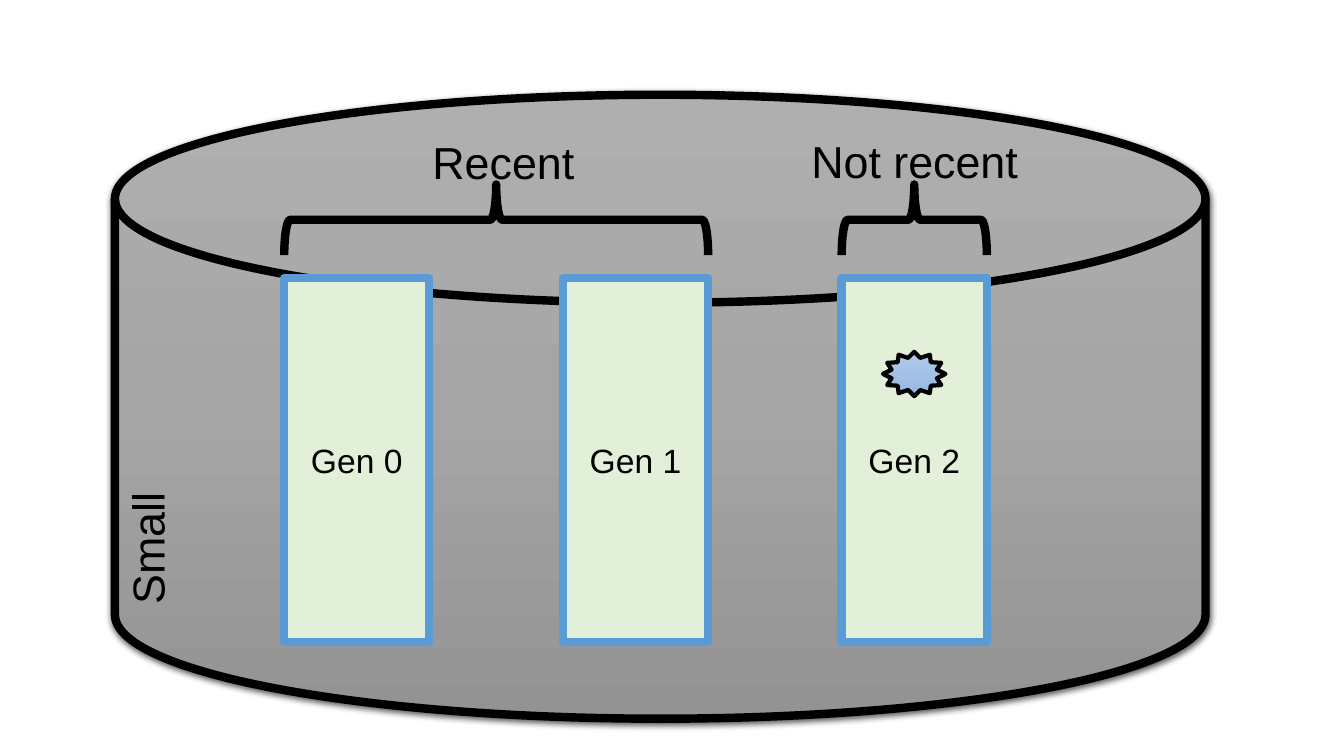
from copy import deepcopy

from lxml import etree
from pptx import Presentation
from pptx.dml.color import RGBColor
from pptx.enum import shapes as kinds, text as txt
from pptx.oxml import ns
from pptx.util import Pt

BLACK = RGBColor(0x00, 0x00, 0x00)
GEN_FILL = RGBColor(0xE2, 0xF0, 0xD9)
GEN_LINE = RGBColor(0x5B, 0x9B, 0xD5)
HEAP_SHADES = [RGBColor(0xAF, 0xAF, 0xAF), RGBColor(0xA5, 0xA5, 0xA5), RGBColor(0x93, 0x93, 0x93)]
OBJECT_SHADES = [RGBColor(0xB1, 0xCB, 0xE9), RGBColor(0xA3, 0xC1, 0xE5), RGBColor(0x93, 0xB9, 0xE4)]

HEAP = "Small"
HEAP_BOX = (82.1, 67.7, 779, 445.7)
GENERATIONS = ["Gen 0", "Gen 1", "Gen 2"]
AGES = [
    {"label": "Recent", "first": 0, "last": 1, "box": (271.4, 92.9, 176.4, 46.1),
     "align": txt.PP_ALIGN.CENTER},
    {"label": "Not recent", "first": 2, "last": 2, "box": (572.4, 92.2, 172.1, 46.1),
     "align": txt.PP_ALIGN.LEFT},
]
OBJECT_GENERATION = 2

GEN_LEFT, GEN_TOP, GEN_WIDTH, GEN_HEIGHT, GEN_STEP = 203, 198.7, 103.7, 259.9, 199.1
BRACE_MIDDLE, BRACE_DEPTH = 157, 50.4
OBJECT_TOP, OBJECT_WIDTH, OBJECT_HEIGHT = 251.3, 44.6, 31.7


def add_outlined(slide, preset, box, line_color=BLACK, line_width=6):
    shape = slide.shapes.add_shape(preset, *map(Pt, box))
    shape.shadow.inherit = False
    shape.line.color.rgb = line_color
    shape.line.width = Pt(line_width)
    return shape


def shade(shape, colors):
    shape.fill.gradient()
    shape.fill.gradient_angle = 270
    stop_list = shape._element.spPr.find(".//" + ns.qn("a:gsLst"))
    stop_list.insert(1, deepcopy(stop_list[0]))
    for index, (stop, color) in enumerate(zip(shape.fill.gradient_stops, colors)):
        stop.position = index / (len(colors) - 1)
        stop.color.rgb = color


def cast_shadow(shape):
    effects = shape._element.spPr.find(ns.qn("a:effectLst"))
    shadow = etree.SubElement(effects, ns.qn("a:outerShdw"), blurRad=str(Pt(4.5)),
                              dist=str(Pt(1.5)), dir="5400000", rotWithShape="0")
    color = etree.SubElement(shadow, ns.qn("a:srgbClr"), val=str(BLACK))
    etree.SubElement(color, ns.qn("a:alpha"), val="63000")


def write(shape, words, size, align, anchor, wrap=False):
    frame = shape.text_frame
    frame.text = words
    frame.word_wrap = wrap
    frame.vertical_anchor = anchor
    paragraph = frame.paragraphs[0]
    paragraph.alignment = align
    font = paragraph.runs[0].font
    font.name, font.size, font.color.rgb = "Arial", Pt(size), BLACK


def gen_left(index):
    return GEN_LEFT + index * GEN_STEP


def main():
    prs = Presentation()
    prs.slide_width, prs.slide_height = Pt(960), Pt(540)
    slide = prs.slides.add_slide(prs.slide_layouts[6])
    preset = kinds.MSO_SHAPE

    heap = add_outlined(slide, preset.FLOWCHART_MAGNETIC_DISK, HEAP_BOX)
    shade(heap, HEAP_SHADES)
    cast_shadow(heap)
    write(heap, HEAP, 32, txt.PP_ALIGN.LEFT, txt.MSO_ANCHOR.TOP)
    heap.text_frame._txBody.bodyPr.set("vert", "vert270")

    for age in AGES:
        left = gen_left(age["first"])
        span = gen_left(age["last"]) + GEN_WIDTH - left
        brace_box = (left + (span - BRACE_DEPTH) / 2, BRACE_MIDDLE - span / 2, BRACE_DEPTH, span)
        brace = add_outlined(slide, preset.LEFT_BRACE, brace_box)
        brace.fill.background()
        brace.rotation = 90

    for index, name in enumerate(GENERATIONS):
        box = (gen_left(index), GEN_TOP, GEN_WIDTH, GEN_HEIGHT)
        generation = add_outlined(slide, preset.RECTANGLE, box, GEN_LINE)
        generation.fill.solid()
        generation.fill.fore_color.rgb = GEN_FILL
        write(generation, name, 24, txt.PP_ALIGN.CENTER, txt.MSO_ANCHOR.MIDDLE)

    for age in AGES:
        label = slide.shapes.add_textbox(*map(Pt, age["box"]))
        write(label, age["label"], 32, age["align"], txt.MSO_ANCHOR.TOP, wrap=True)
        label.text_frame.auto_size = txt.MSO_AUTO_SIZE.SHAPE_TO_FIT_TEXT

    object_left = gen_left(OBJECT_GENERATION) + (GEN_WIDTH - OBJECT_WIDTH) / 2
    live_object = add_outlined(slide, preset.STAR_12_POINT,
                               (object_left, OBJECT_TOP, OBJECT_WIDTH, OBJECT_HEIGHT), line_width=3)
    shade(live_object, OBJECT_SHADES)

    prs.save("out.pptx")


if __name__ == "__main__":
    main()
